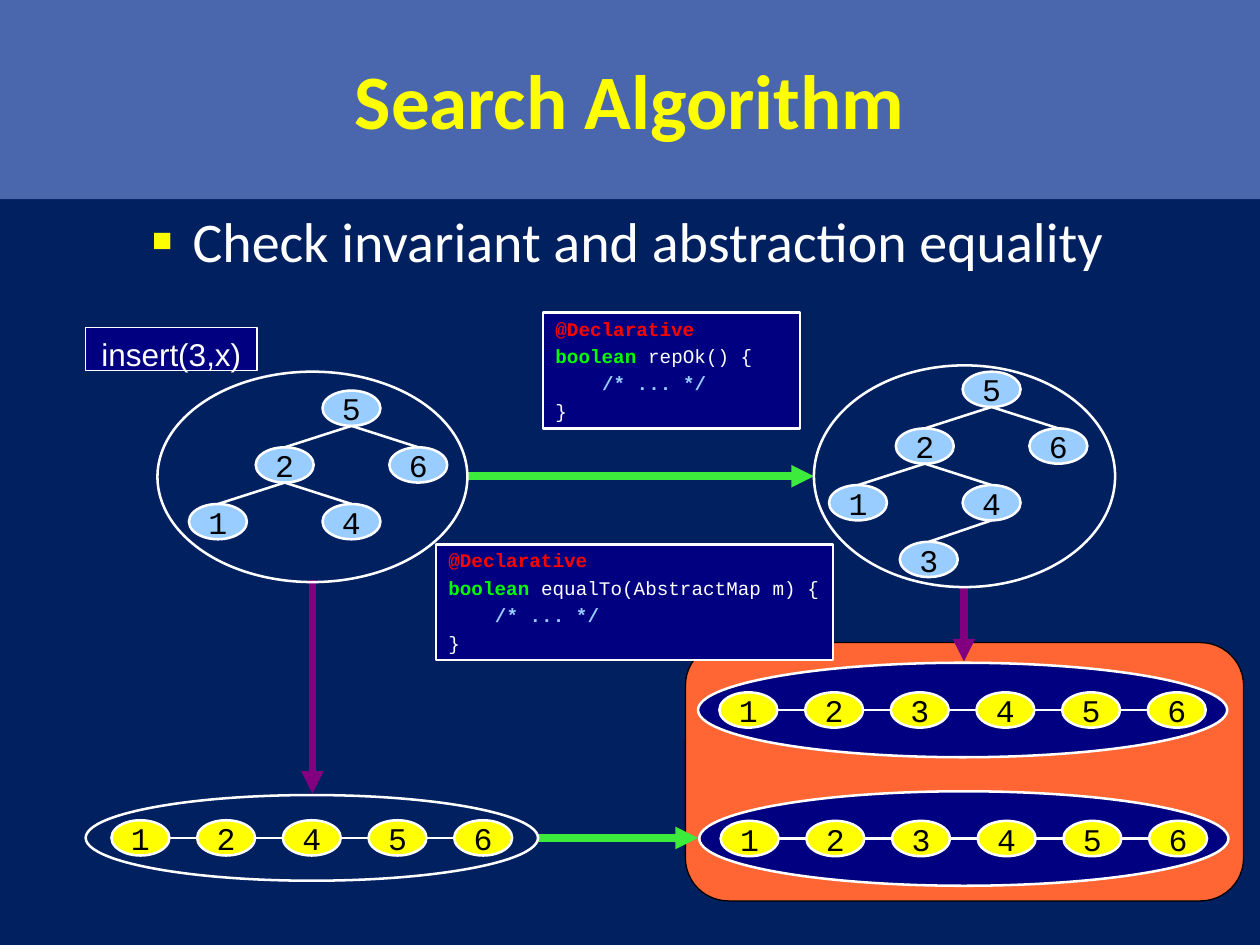
from pptx import Presentation
from pptx.dml.color import RGBColor
from pptx.enum.shapes import MSO_CONNECTOR as Link, MSO_SHAPE as Kind
from pptx.enum.text import MSO_ANCHOR as Anchor, PP_ALIGN as Align
from pptx.oxml.ns import qn
from pptx.util import Inches, Pt
from lxml.etree import SubElement

INK = {
    "back": "002060", "band": "4A66AC", "navy": "000080", "orange": "FF6633",
    "white": "FFFFFF", "black": "000000", "yellow": "FFFF00", "sky": "99CCFF",
    "red": "FF0000", "lime": "00FF00", "green": "3DEB3D", "purple": "800080",
}
NODE_W, NODE_H = 0.46, 0.28
STEP_X, STEP_Y = 0.53, 0.45
PITCH = 0.68
THIN, FINE, THICK = 0.75, 1.45, 4.31
LEAVES = [("5", 0, 0, None), ("2", -1, 1, "5"), ("6", 1, 1, "5"),
          ("1", -2, 2, "2"), ("4", 0, 2, "2")]


def tint(name):
    return RGBColor.from_string(INK[name])


def style(font, face, size, color, bold=False):
    font.name, font.size, font.bold = face, Pt(size), bold
    font.color.rgb = tint(color)


def inset(frame, left, top, right, bottom):
    frame.margin_left, frame.margin_right = Inches(left), Inches(right)
    frame.margin_top, frame.margin_bottom = Inches(top), Inches(bottom)


def add_form(shapes, kind, box, fill=None, edge="white", width=FINE):
    form = shapes.add_shape(kind, *map(Inches, box))
    form.shadow.inherit = False
    if fill:
        form.fill.solid()
        form.fill.fore_color.rgb = tint(fill)
    else:
        form.fill.background()
    if edge:
        form.line.color.rgb = tint(edge)
        form.line.width = Pt(width)
    else:
        form.line.fill.background()
    return form


def add_line(shapes, start, end, color="white", width=FINE, head=False):
    line = shapes.add_connector(Link.STRAIGHT, *map(Inches, (*start, *end)))
    line.line.color.rgb = tint(color)
    line.line.width = Pt(width)
    props = line._element.spPr
    if head:
        SubElement(props.find(qn("a:ln")), qn("a:tailEnd"), type="triangle")
    SubElement(props, qn("a:effectLst"))


def add_node(shapes, x, y, label, fill):
    node = add_form(shapes, Kind.OVAL, (x, y, NODE_W, NODE_H), fill)
    frame = node.text_frame
    frame.word_wrap = False
    frame.vertical_anchor = Anchor.MIDDLE
    inset(frame, 0.1, 0.06, 0.1, 0.06)
    para = frame.paragraphs[0]
    para.text, para.alignment = label, Align.CENTER
    style(para.font, "Courier New", 18, "black")


def add_title(slide, box, text):
    band = add_form(slide.shapes, Kind.RECTANGLE, box, "band", None)
    frame = band.text_frame
    frame.word_wrap = True
    frame.vertical_anchor = Anchor.MIDDLE
    inset(frame, 0.1, 0.04, 0.1, 0.05)
    para = frame.paragraphs[0]
    para.text, para.alignment = text, Align.CENTER
    style(para.font, "Calibri", 44, "yellow", True)


def add_body(slide, box, text):
    frame = slide.shapes.add_textbox(*map(Inches, box)).text_frame
    frame.word_wrap = True
    para = frame.paragraphs[0]
    para.text = text
    style(para.font, "Calibri", 32, "white")
    props = para._p.get_or_add_pPr()
    props.set("marL", str(Inches(0.43)))
    props.set("indent", str(Inches(-0.32)))
    marks = [SubElement(props, qn("a:buClr")),
             SubElement(props, qn("a:buSzPct"), val="60000"),
             SubElement(props, qn("a:buFont"), typeface="Arial"),
             SubElement(props, qn("a:buChar"), char="■")]
    SubElement(marks[0], qn("a:srgbClr"), val=INK["yellow"])
    rest = props.find(qn("a:defRPr"))
    if rest is not None:
        props.append(rest)


def add_call(slide, box, text):
    form = add_form(slide.shapes, Kind.RECTANGLE, box, "navy", width=THIN)
    frame = form.text_frame
    frame.word_wrap = True
    frame.vertical_anchor = Anchor.TOP
    inset(frame, 0.09, 0.06, 0.09, 0.04)
    para = frame.paragraphs[0]
    para.text, para.alignment = text, Align.CENTER
    style(para.font, "Arial", 18, "white")


def add_code(slide, box, name):
    form = add_form(slide.shapes, Kind.RECTANGLE, box, "navy")
    frame = form.text_frame
    frame.word_wrap = True
    frame.vertical_anchor = Anchor.TOP
    inset(frame, 0.1, 0.05, 0.1, 0.05)
    rows = [
        (0.94, 0, [("@Declarative", "red", True)]),
        (1.18, 0, [("boolean ", "lime", True), (f"{name} {{", "white", False)]),
        (1.18, 0.37, [("/* ... */", "sky", True)]),
        (1.18, 0, [("}", "white", False)]),
    ]
    for i, (space, left, parts) in enumerate(rows):
        para = frame.add_paragraph() if i else frame.paragraphs[0]
        para.alignment, para.line_spacing = Align.LEFT, space
        if left:
            para._p.get_or_add_pPr().set("marL", str(Inches(left)))
        for text, color, bold in parts:
            run = para.add_run()
            run.text = text
            style(run.font, "Courier New", 11, color, bold)


def add_tree(slide, box, root, nodes):
    shapes = slide.shapes.add_group_shape().shapes
    spots = {}
    for label, col, row, parent in nodes:
        x = box[0] + root[0] + col * STEP_X
        y = box[1] + root[1] + row * STEP_Y
        mid = x + NODE_W / 2
        spots[label] = mid, y + NODE_H
        add_node(shapes, x, y, label, "sky")
        if parent:
            add_line(shapes, spots[parent], (mid, y))
    add_form(shapes, Kind.OVAL, box)


def add_chain(slide, box, labels, fill=None):
    shapes = slide.shapes.add_group_shape().shapes
    add_form(shapes, Kind.OVAL, box, fill)
    left, top, width, height = box
    span = (len(labels) - 1) * PITCH + NODE_W
    start = left + (width - span) / 2
    mid = top + height / 2
    for i, label in enumerate(labels):
        x = start + i * PITCH
        add_node(shapes, x, mid - NODE_H / 2, label, "yellow")
        if i:
            add_line(shapes, (x - PITCH + NODE_W, mid), (x, mid))


def main():
    deck = Presentation()
    deck.slide_width, deck.slide_height = Inches(10), Inches(7.5)
    slide = deck.slides.add_slide(deck.slide_layouts[6])
    slide.background.fill.solid()
    slide.background.fill.fore_color.rgb = tint("back")

    add_form(slide.shapes, Kind.ROUNDED_RECTANGLE, (5.44, 5.1, 4.43, 2.05),
             "orange", "black", THIN)
    add_title(slide, (0, 0, 10, 1.58), "Search Algorithm")
    add_body(slide, (1, 1.59, 9, 4.95), "Check invariant and abstraction equality")
    add_call(slide, (0.68, 2.6, 1.36, 0.34), "insert(3,x)")
    add_code(slide, (4.31, 2.48, 2.04, 0.92), "repOk()")
    add_code(slide, (3.46, 4.32, 3.15, 0.92), "equalTo(AbstractMap m)")

    for start, end, color in [
        ((7.65, 4.67), (7.65, 5.25), "purple"),
        ((3.7, 3.78), (6.46, 3.78), "green"),
        ((4.26, 6.65), (5.54, 6.65), "green"),
        ((2.48, 4.6), (2.48, 6.3), "purple"),
    ]:
        add_line(slide.shapes, start, end, color, THICK, True)

    add_tree(slide, (1.25, 2.95, 2.46, 1.67), (1.31, 0.15), LEAVES)
    add_tree(slide, (6.46, 2.9, 2.39, 1.76), (1.18, 0.05),
             LEAVES + [("3", -0.94, 3, "4")])
    add_chain(slide, (5.55, 6.28, 4.2, 0.75), "123456", "navy")
    add_chain(slide, (0.68, 6.31, 3.59, 0.68), "12456")
    add_chain(slide, (5.54, 5.26, 4.2, 0.75), "123456", "navy")

    deck.save("out.pptx")


if __name__ == "__main__":
    main()
